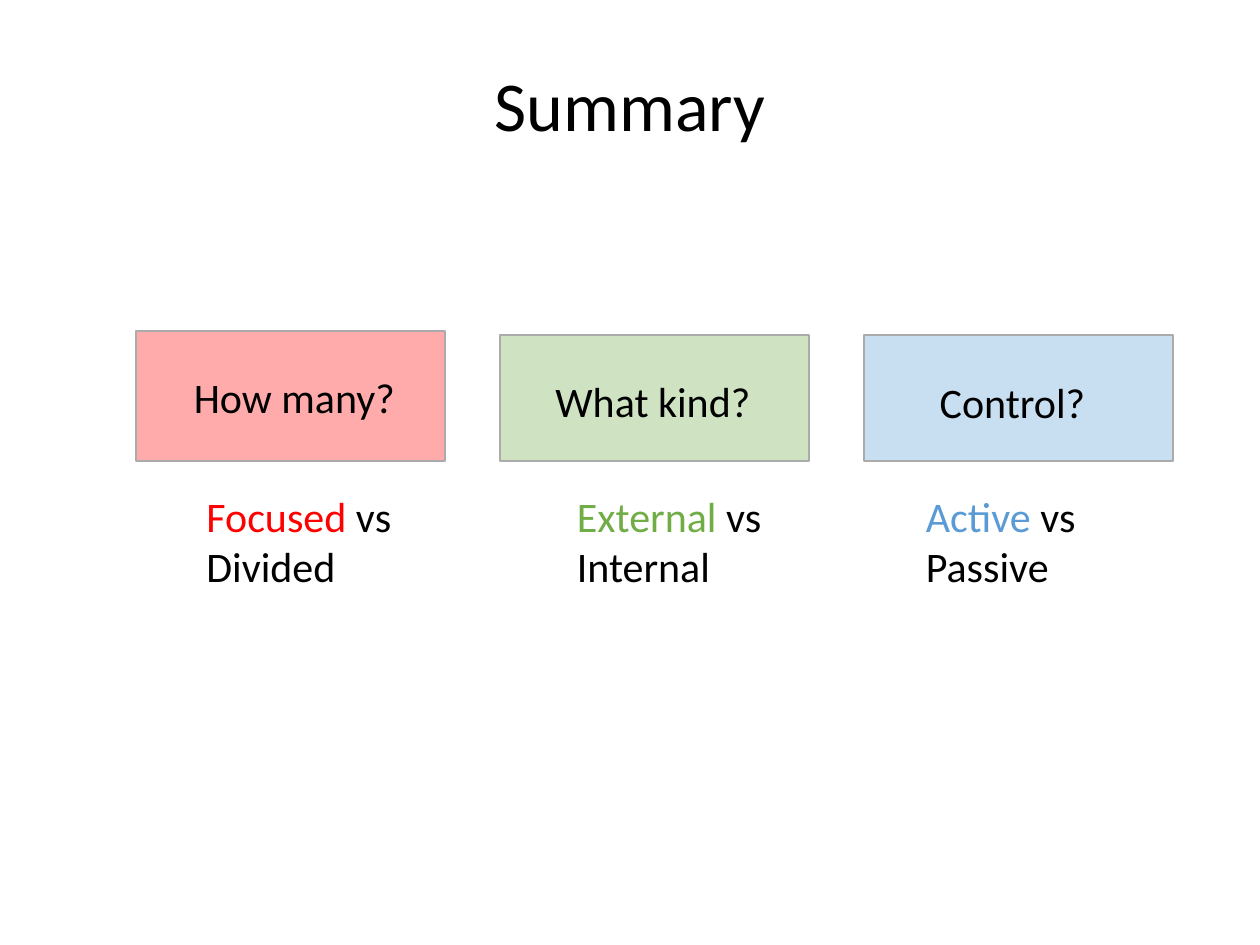
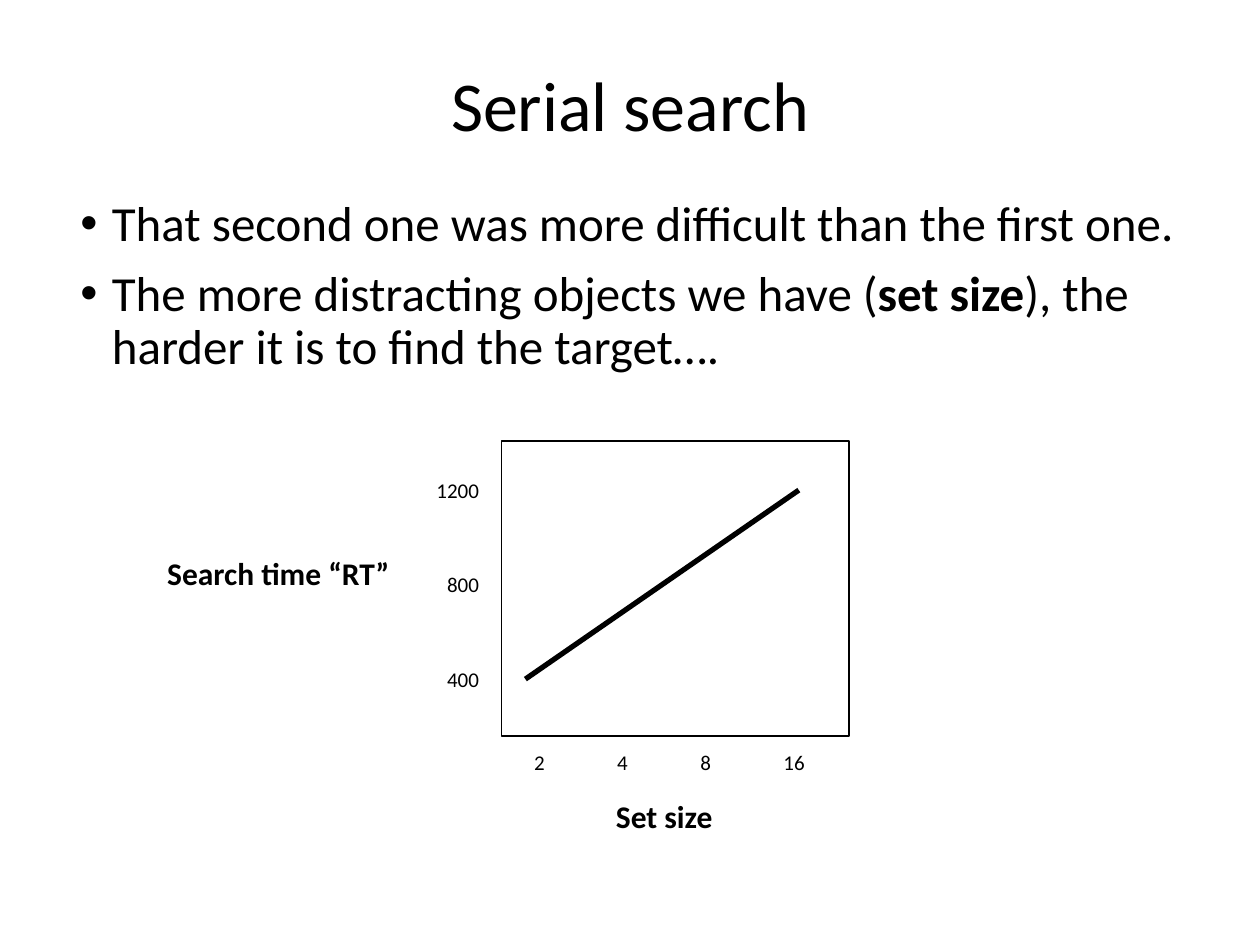
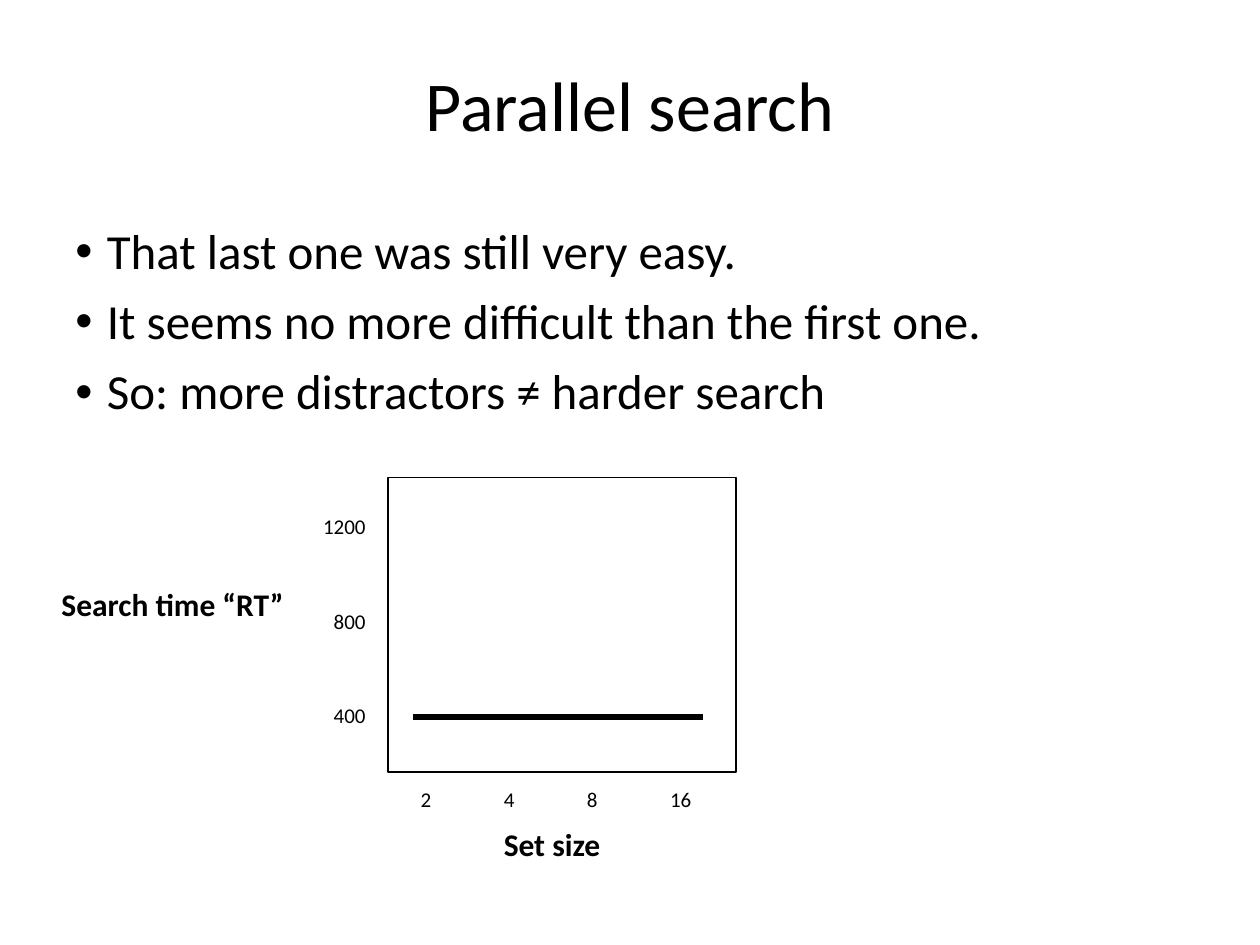
"""Build three slides on attention and visual search."""
import lxml.etree
import pptx
import pptx.dml.color
import pptx.enum.shapes
import pptx.enum.text
import pptx.oxml.ns
import pptx.util

RGBColor = pptx.dml.color.RGBColor
Inches = pptx.util.Inches
Pt = pptx.util.Pt
ALIGN = pptx.enum.text.PP_ALIGN
ANCHOR = pptx.enum.text.MSO_ANCHOR
RECTANGLE = pptx.enum.shapes.MSO_SHAPE.RECTANGLE
STRAIGHT = pptx.enum.shapes.MSO_CONNECTOR.STRAIGHT

BLACK = RGBColor(0x00, 0x00, 0x00)
WHITE = RGBColor(0xFF, 0xFF, 0xFF)
RED = RGBColor(0xFF, 0x00, 0x00)
GREEN = RGBColor(0x70, 0xAD, 0x47)
BLUE = RGBColor(0x5B, 0x9B, 0xD5)

SLIDE_WIDTH, SLIDE_HEIGHT = 10, 7.5
TITLE_AREA = (0.69, 0.4, 8.62, 0.92)
FONT = {"name": "Calibri", "color": BLACK, "bold": False}
TITLE = {"size": Pt(40)}
BODY = {"size": Pt(28)}
LABEL = {"size": Pt(24)}
AXIS = {"size": Pt(18), "bold": True}
TICK = {"size": Pt(12)}

CARD_LEFT, CARD_STEP, CARD_WIDTH, CARD_BOTTOM = 1.08, 2.89, 2.45, 3.66
VEIL_AREA = (0.64, 2.34, SLIDE_WIDTH - 0.64, 1.5)
VEIL_OPACITY = 67
QUESTION_HEIGHT, ANSWER_TOP, ANSWER_HEIGHT = 0.5, 3.84, 0.91
CARDS = [
    {"question": "How many?", "pair": ("Focused", "Divided"), "color": RED, "height": 1.03,
     "question_at": (1.44, 2.9), "answer_left": 1.54},
    {"question": "What kind?", "pair": ("External", "Internal"), "color": GREEN, "height": 1,
     "question_at": (4.31, 2.93), "answer_left": 4.48},
    {"question": "Control?", "pair": ("Active", "Passive"), "color": BLUE, "height": 1,
     "question_at": (7.36, 2.94), "answer_left": 7.25},
]

PLOT_WIDTH, PLOT_HEIGHT = 2.76, 2.34
TIME_TICKS = ("1200", "800", "400")
SIZE_TICKS = ("2", "4", "8", "16")
SEARCHES = [
    {"title": "Serial search", "body_area": (0.54, 1.53, 9, 2.72),
     "bullets": [
         [("That second one was more difficult than the first one.", {})],
         [("The more distracting objects we have (", {}), ("set size", {"bold": True}),
          ("), the harder it is to find the target….", {})]],
     "plot_at": (3.98, 3.5), "trend": ((0.19, 1.89), (2.36, 0.39)),
     "time_at": (1.06, 4.35), "size_at": (4.79, 6.28)},
    {"title": "Parallel search", "body_area": (0.5, 1.75, 9, 2.52),
     "bullets": [
         [("That last one was still very easy.", {})],
         [("It seems no more difficult than the first one.", {})],
         [("So: more distractors ≠ harder search", {})]],
     "plot_at": (3.08, 3.79), "trend": ((0.2, 1.9), (2.5, 1.9)),
     "time_at": (0.22, 4.59), "size_at": (3.9, 6.5)},
]


def set_font(font, formats):
    for name, value in {**FONT, **formats}.items():
        if name == "color":
            font.color.rgb = value
        else:
            setattr(font, name, value)


def add_element(parent, tag, **attributes):
    lxml.etree.SubElement(parent, pptx.oxml.ns.qn(tag), attributes)


def add_bullet(paragraph):
    properties = paragraph._p.get_or_add_pPr()
    properties.set("marL", str(Inches(0.25)))
    properties.set("indent", str(Inches(-0.25)))
    add_element(properties, "a:buFont", typeface="Arial")
    add_element(properties, "a:buChar", char="•")


def add_text(slide, area, paragraphs, formats, bullets=False, anchor=ANCHOR.TOP, wrap=True, **layout):
    frame = slide.shapes.add_textbox(*map(Inches, area)).text_frame
    frame.word_wrap = wrap
    frame.vertical_anchor = anchor
    for index, runs in enumerate(paragraphs):
        paragraph = frame.paragraphs[0] if index == 0 else frame.add_paragraph()
        if bullets:
            add_bullet(paragraph)
            paragraph.space_before = Pt(10 if index else 0)
        for name, value in layout.items():
            setattr(paragraph, name, value)
        for text, run_formats in runs:
            run = paragraph.add_run()
            run.text = text
            set_font(run.font, {**formats, **run_formats})


def add_label(slide, area, text, formats, **layout):
    add_text(slide, area, [[(text, {})]], formats, **layout)


def add_rectangle(slide, area, fill=None, outlined=True):
    shape = slide.shapes.add_shape(RECTANGLE, *map(Inches, area))
    shape.shadow.inherit = False
    if fill is None:
        shape.fill.background()
    else:
        shape.fill.solid()
        shape.fill.fore_color.rgb = fill
    if outlined:
        shape.line.color.rgb = BLACK
        shape.line.width = Pt(1)
    else:
        shape.line.fill.background()
    return shape


def add_veil(slide):
    veil = add_rectangle(slide, VEIL_AREA, WHITE, outlined=False)
    color = veil._element.spPr.find(".//" + pptx.oxml.ns.qn("a:srgbClr"))
    add_element(color, "a:alpha", val=str(VEIL_OPACITY * 1000))


def add_titled_slide(presentation, title):
    slide = presentation.slides.add_slide(presentation.slide_layouts[6])
    add_label(slide, TITLE_AREA, title, TITLE, anchor=ANCHOR.MIDDLE,
              alignment=ALIGN.CENTER, line_spacing=0.9)
    return slide


def add_summary(presentation):
    slide = add_titled_slide(presentation, "Summary")
    for column, card in enumerate(CARDS):
        left = CARD_LEFT + column * CARD_STEP
        area = (left, CARD_BOTTOM - card["height"], CARD_WIDTH, card["height"])
        add_rectangle(slide, area, card["color"])
    add_veil(slide)
    for card in CARDS:
        add_label(slide, (*card["question_at"], 2.04, QUESTION_HEIGHT), card["question"], LABEL)
        first, second = card["pair"]
        answer = [[(first, {"color": card["color"]}), (" vs", {})], [(second, {})]]
        add_text(slide, (card["answer_left"], ANSWER_TOP, 1.7, ANSWER_HEIGHT), answer, LABEL)


def add_plot(slide, search):
    left, top = search["plot_at"]
    add_rectangle(slide, (left, top, PLOT_WIDTH, PLOT_HEIGHT))
    add_label(slide, (*search["size_at"], 0.97, 0.4), "Set size", AXIS, wrap=False)
    add_label(slide, (*search["time_at"], 2.13, 0.4), "Search time “RT”", AXIS,
              alignment=ALIGN.RIGHT)
    ends = [Inches(start + shift) for point in search["trend"]
            for start, shift in zip((left, top), point)]
    trend = slide.shapes.add_connector(STRAIGHT, *ends)
    trend.line.color.rgb = BLACK
    trend.line.width = Pt(3)
    add_element(trend._element.spPr, "a:effectLst")
    for row, text in enumerate(TIME_TICKS):
        add_label(slide, (left - 0.63, top + 0.24 + row * 0.75, 0.55, 0.3), text, TICK,
                  alignment=ALIGN.RIGHT)
    for column, text in enumerate(SIZE_TICKS):
        area = (left + 0.16 + column * 0.66, top + PLOT_HEIGHT + 0.06, 0.37, 0.3)
        add_label(slide, area, text, TICK)


def add_search(presentation, search):
    slide = add_titled_slide(presentation, search["title"])
    add_text(slide, search["body_area"], search["bullets"], BODY, bullets=True, line_spacing=0.9)
    add_plot(slide, search)


def main():
    presentation = pptx.Presentation()
    presentation.slide_width = Inches(SLIDE_WIDTH)
    presentation.slide_height = Inches(SLIDE_HEIGHT)
    add_summary(presentation)
    for search in SEARCHES:
        add_search(presentation, search)
    presentation.save("out.pptx")


if __name__ == "__main__":
    main()
